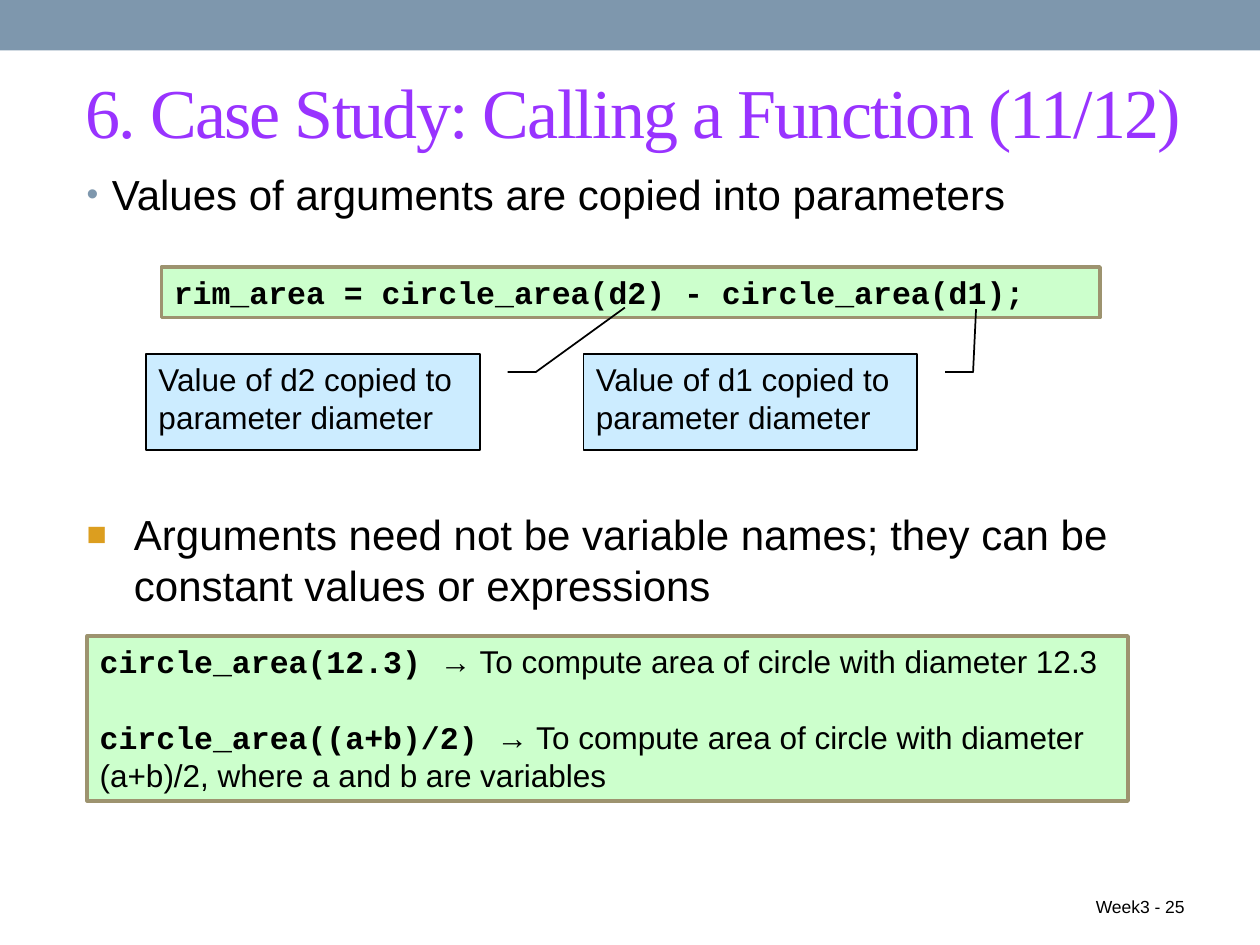
"""Build the slide on calling a function and copying argument values."""
from dataclasses import dataclass
from typing import Optional

import pptx
import pptx.dml.color
import pptx.enum.shapes
import pptx.enum.text
import pptx.oxml.ns
import pptx.util
from lxml import etree

Pt = pptx.util.Pt
Shapes = pptx.enum.shapes.MSO_SHAPE
Anchor = pptx.enum.text.MSO_ANCHOR
Align = pptx.enum.text.PP_ALIGN
qn = pptx.oxml.ns.qn

BLACK = "000000"
BODY_FONT = "Arial"
CODE_FONT = "Courier New"


@dataclass(frozen=True)
class Frame:
    left: float
    top: float
    width: float
    height: float

    def lengths(self) -> tuple:
        return Pt(self.left), Pt(self.top), Pt(self.width), Pt(self.height)


@dataclass(frozen=True)
class Span:
    text: str
    font: str = BODY_FONT
    bold: bool = False


@dataclass(frozen=True)
class Style:
    size: float = 18
    color: str = BLACK
    anchor: Anchor = Anchor.TOP
    align: Align = Align.LEFT
    gap: float = 0


@dataclass(frozen=True)
class Bullet:
    symbol: str
    color: str
    indent: float


@dataclass(frozen=True)
class Callout:
    text: str
    left: float
    tip_y: float
    tip_x: float


CALLOUTS = (
    Callout("Value of d2 copied to parameter diameter", 83.5, -0.487, -0.434),
    Callout("Value of d1 copied to parameter diameter", 333.4, -0.471, -0.176),
)


def rgb(color: str) -> pptx.dml.color.RGBColor:
    return pptx.dml.color.RGBColor.from_string(color)


def write(shape, paragraphs: list[list[Span]], style: Style) -> None:
    frame = shape.text_frame
    frame.word_wrap = True
    frame.vertical_anchor = style.anchor
    for index, spans in enumerate(paragraphs):
        paragraph = frame.add_paragraph() if index else frame.paragraphs[0]
        paragraph.alignment = style.align
        if index:
            paragraph.space_before = Pt(style.gap)
        for span in spans:
            run = paragraph.add_run()
            run.text = span.text
            run.font.name = span.font
            run.font.size = Pt(style.size)
            run.font.bold = span.bold
            run.font.color.rgb = rgb(style.color)


def add_text(page, frame: Frame, span: Span, style: Style):
    box = page.shapes.add_textbox(*frame.lengths())
    write(box, [[span]], style)
    return box


def add_bullet_text(page, frame: Frame, text: str, bullet: Bullet) -> None:
    box = add_text(page, frame, Span(text), Style(size=24))
    properties = box.text_frame.paragraphs[0]._p.get_or_add_pPr()
    properties.set("marL", str(Pt(bullet.indent)))
    properties.set("indent", str(-Pt(bullet.indent)))
    color = etree.SubElement(properties, qn("a:buClr"))
    etree.SubElement(color, qn("a:srgbClr"), val=bullet.color)
    etree.SubElement(properties, qn("a:buSzPct"), val="80000")
    etree.SubElement(properties, qn("a:buFont"), typeface=BODY_FONT)
    etree.SubElement(properties, qn("a:buChar"), char=bullet.symbol)


def add_panel(page, kind, frame: Frame, fill: str,
              line: Optional[str] = None, line_width: float = 1):
    panel = page.shapes.add_shape(kind, *frame.lengths())
    panel.shadow.inherit = False
    panel.fill.solid()
    panel.fill.fore_color.rgb = rgb(fill)
    if line is None:
        panel.line.fill.background()
    else:
        panel.line.color.rgb = rgb(line)
        panel.line.width = Pt(line_width)
    return panel


def add_code(page, frame: Frame, paragraphs: list[list[Span]], gap: float = 0) -> None:
    panel = add_panel(page, Shapes.RECTANGLE, frame, "CCFFCC", "9D936F", 2.08)
    write(panel, paragraphs, Style(gap=gap))


def add_callout(page, callout: Callout) -> None:
    frame = Frame(callout.left, 202.4, 190.8, 54.7)
    panel = add_panel(page, Shapes.LINE_CALLOUT_2, frame, "CCECFF", BLACK)
    panel._element.spPr.find(qn("a:xfrm")).set("flipH", "1")
    values = (0.188, -0.083, 0.188, -0.167, callout.tip_y, callout.tip_x)
    for index, value in enumerate(values):
        panel.adjustments[index] = value
    write(panel, [[Span(callout.text)]], Style())


def main() -> None:
    deck = pptx.Presentation()
    deck.slide_width, deck.slide_height = Pt(720), Pt(540)
    page = deck.slides.add_slide(deck.slide_layouts[6])

    add_panel(page, Shapes.RECTANGLE, Frame(0, 0, 720, 28.8), "7E97AD")
    title = add_text(page, Frame(41.8, 30.2, 660.2, 66.2),
                     Span("6. Case Study: Calling a Function (11/12)", "Times New Roman"),
                     Style(size=40, color="9933FF", anchor=Anchor.MIDDLE))
    title.text_frame.paragraphs[0].runs[0].font._element.set("spc", "-100")
    add_bullet_text(page, Frame(42.5, 92.9, 648, 47.5),
                    "Values of arguments are copied into parameters",
                    Bullet("•", "7E97AD", 14.4))
    add_text(page, Frame(516.2, 491.8, 167.8, 36), Span("Week3 - 25"),
             Style(size=10, anchor=Anchor.BOTTOM, align=Align.RIGHT))

    add_code(page, Frame(92.2, 152.6, 536.4, 28.8),
             [[Span("rim_area = circle_area(d2) - circle_area(d1);", CODE_FONT, True)]])
    for callout in CALLOUTS:
        add_callout(page, callout)

    add_bullet_text(page, Frame(42.5, 287.3, 648, 69.1),
                    "Arguments need not be variable names; "
                    "they can be constant values or expressions",
                    Bullet("■", "DC9E1F", 27))
    add_code(page, Frame(49.9, 363.4, 594.7, 94.3), [
        [Span("circle_area(12.3) ", CODE_FONT, True),
         Span("→ To compute area of circle with diameter 12.3")],
        [Span("circle_area((a+b)/2) ", CODE_FONT, True),
         Span("→ To compute area of circle with diameter (a+b)/2, "
              "where a and b are variables")],
    ], gap=21.6)
    deck.save("out.pptx")


if __name__ == "__main__":
    main()
